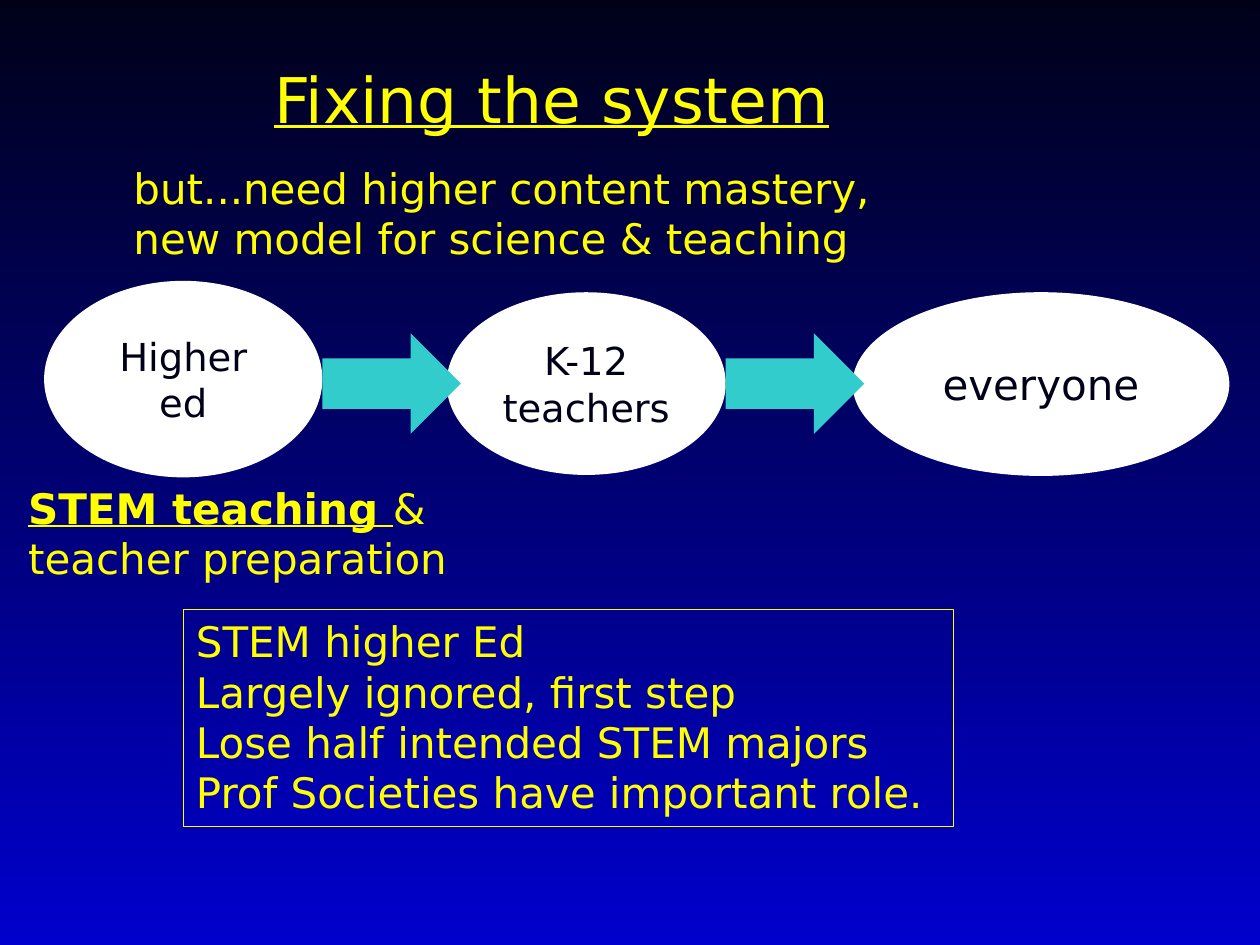
from pptx import Presentation
from pptx.dml.color import RGBColor
from pptx.enum.shapes import MSO_SHAPE as Shape
from pptx.enum.text import MSO_ANCHOR, MSO_AUTO_SIZE, PP_ALIGN
from pptx.util import Pt

NAVY = RGBColor(0x00, 0x01, 0x18)
BLUE = RGBColor(0x00, 0x00, 0xCC)
YELLOW = RGBColor(0xFF, 0xFF, 0x00)
WHITE = RGBColor(0xFF, 0xFF, 0xFF)
TEAL = RGBColor(0x33, 0xCC, 0xCC)
FONT = "DejaVu Sans"

TITLE = ["Fixing the system"]
CONDITION = ["but...need higher content mastery,", "new model for science & teaching"]
PREPARATION = ["STEM teaching ", "teacher preparation"]
HIGHER_ED = [
    "STEM higher Ed",
    "Largely ignored, first step",
    "Lose half intended STEM majors",
    "Prof Societies have important role.",
]
STAGES = [
    ("Higher ed", 22, (25.2, 160.5, 159, 112.3)),
    ("K-12 teachers", 22, (255.2, 167, 159.5, 104.4)),
    ("everyone", 24, (487.2, 167, 215.3, 105)),
]
ARROW_WIDTH, ARROW_LENGTH = 57.5, 79.2
ARROW_MIDDLE = 219.2


def points(box):
    return [Pt(value) for value in box]


def style(paragraph, size, color):
    font = paragraph.font
    font.name, font.size, font.color.rgb = FONT, Pt(size), color


def write(holder, lines, size=24, wrap=True):
    frame = holder.text_frame
    frame.word_wrap = wrap
    frame.auto_size = MSO_AUTO_SIZE.SHAPE_TO_FIT_TEXT
    frame.vertical_anchor = MSO_ANCHOR.TOP
    frame.text = "\n".join(lines)
    for paragraph in frame.paragraphs:
        paragraph.alignment = PP_ALIGN.LEFT
        style(paragraph, size, YELLOW)
    return frame.paragraphs


def add_filled(slide, kind, box, color):
    shape = slide.shapes.add_shape(kind, *points(box))
    shape.shadow.inherit = False
    shape.fill.solid()
    shape.fill.fore_color.rgb = color
    shape.line.fill.background()
    return shape


def add_stage(slide, label, size, box):
    frame = add_filled(slide, Shape.OVAL, box, WHITE).text_frame
    frame.word_wrap = True
    frame.vertical_anchor = MSO_ANCHOR.MIDDLE
    frame.text = label
    frame.paragraphs[0].alignment = PP_ALIGN.CENTER
    style(frame.paragraphs[0], size, NAVY)


def add_arrow(slide, start):
    left = start + (ARROW_LENGTH - ARROW_WIDTH) / 2
    box = (left, ARROW_MIDDLE - ARROW_LENGTH / 2, ARROW_WIDTH, ARROW_LENGTH)
    add_filled(slide, Shape.DOWN_ARROW, box, TEAL).rotation = 270


def main():
    deck = Presentation()
    deck.slide_width, deck.slide_height = Pt(720), Pt(540)
    slide = deck.slides.add_slide(deck.slide_layouts[6])
    shapes = slide.shapes

    backdrop = slide.background.fill
    backdrop.gradient()
    backdrop.gradient_angle = 270
    for stop, position, color in zip(backdrop.gradient_stops, (0, 1), (NAVY, BLUE)):
        stop.position, stop.color.rgb = position, color

    for stage in STAGES:
        add_stage(slide, *stage)
    for _, _, (left, _, width, _) in STAGES[:-1]:
        add_arrow(slide, left + width)

    write(shapes.add_textbox(*points((69.2, 89.3, 452.2, 65.5))), CONDITION)

    higher_ed = shapes.add_shape(Shape.RECTANGLE, *points((104.9, 348.3, 440, 124)))
    higher_ed.shadow.inherit = False
    higher_ed.fill.background()
    higher_ed.line.color.rgb = YELLOW
    higher_ed.line.width = Pt(0.75)
    write(higher_ed, HIGHER_ED)

    title = shapes.add_textbox(*points((149.6, 31, 337.7, 51)))
    write(title, TITLE, 36, wrap=False)[0].font.underline = True

    preparation = shapes.add_textbox(*points((9, 272.2, 254.9, 65.5)))
    first_line = write(preparation, PREPARATION, wrap=False)[0]
    emphasis = first_line.runs[0].font
    emphasis.bold = emphasis.underline = True
    first_line.add_run().text = "&"

    deck.save("out.pptx")


if __name__ == "__main__":
    main()
